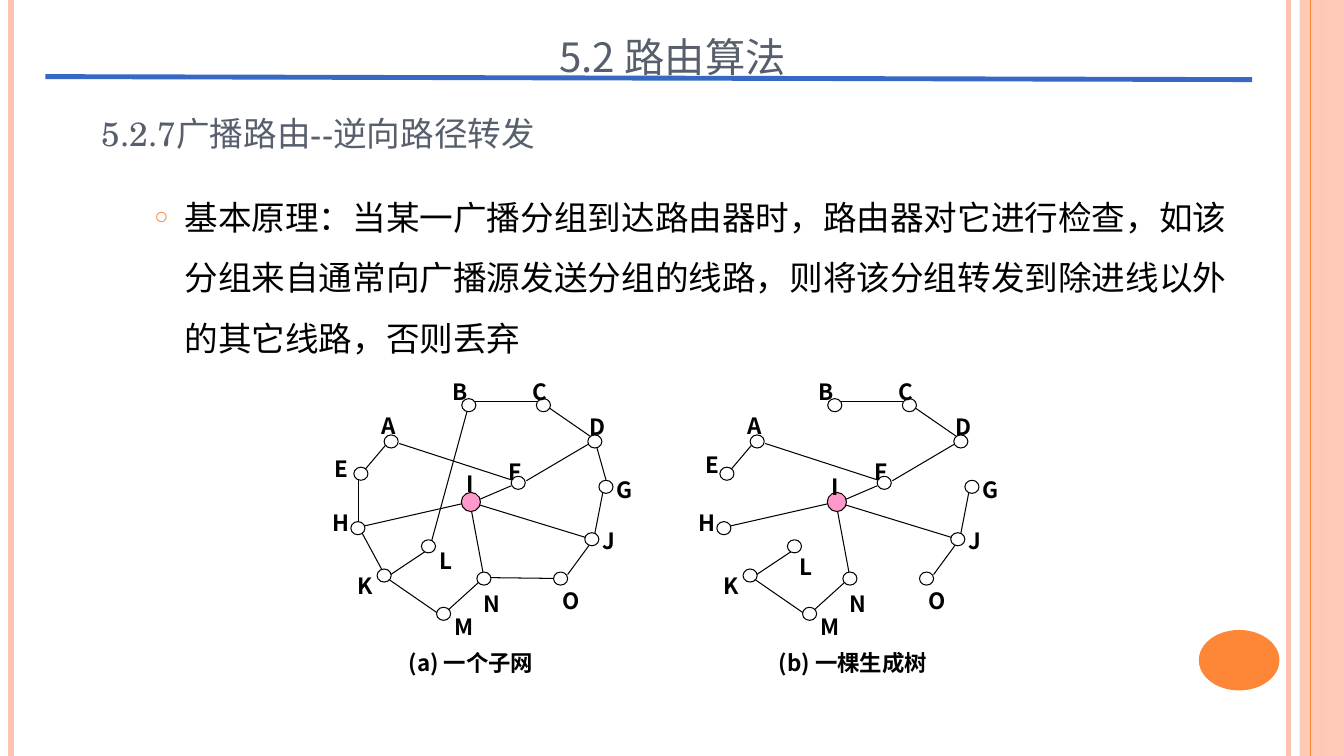
from lxml.etree import SubElement
from pptx import Presentation
from pptx.dml.color import RGBColor
from pptx.enum.shapes import MSO_CONNECTOR, MSO_SHAPE
from pptx.enum.text import MSO_ANCHOR, PP_ALIGN
from pptx.oxml.ns import qn
from pptx.util import Inches, Pt

COLORS = {"ink": "000000", "paper": "FFFFFF", "slate": "575F6D", "peach": "FEC3AE",
          "orange": "FE8637", "blue": "3668C4", "pink": "FF99CC"}
SANS, SERIF = "Noto Sans CJK SC", "TeX Gyre Schola"
WIDE, HIGH = 13.33, 7.5
NODES = {
    "A": (0.68, 0.81), "B": (1.45, 0.45), "C": (2.19, 0.45), "D": (2.7, 0.81),
    "E": (0.38, 1.13), "F": (1.94, 1.22), "G": (2.81, 1.26), "H": (0.35, 1.67),
    "I": (1.47, 1.41), "J": (2.67, 1.78), "K": (0.61, 2.14), "L": (1.05, 1.85),
    "M": (1.2, 2.52), "N": (1.6, 2.17), "O": (2.36, 2.17)}
LABELS = {
    "A": (0.49, 0.34), "B": (1.19, 0), "C": (1.98, 0), "D": (2.55, 0.35),
    "E": (0.02, 0.76), "F": (1.74, 0.79), "G": (2.82, 0.97), "H": (0, 1.3),
    "I": (1.24, 0.91), "J": (2.68, 1.48), "K": (0.25, 1.92), "L": (1.06, 1.68),
    "M": (1.21, 2.33), "N": (1.5, 2.1), "O": (2.28, 2.07)}
MOVED = {"E": (0.07, 0.72), "I": (1.23, 0.94), "L": (1, 1.74)}
EDGES = {
    "IF": (1.52, 1.4, 1.87, 1.25), "AE": (0.63, 0.84, 0.41, 1.1),
    "EH": (0.36, 1.16, 0.36, 1.66), "HK": (0.36, 1.66, 0.63, 2.16),
    "KM": (0.63, 2.16, 1.18, 2.54), "MN": (1.18, 2.54, 1.6, 2.16),
    "NO": (1.6, 2.16, 2.43, 2.17), "NI": (1.6, 2.16, 1.46, 1.41),
    "HI": (0.36, 1.66, 1.46, 1.41), "OJ": (2.43, 2.13, 2.65, 1.83),
    "IJ": (1.46, 1.41, 2.7, 1.79), "JG": (2.7, 1.72, 2.78, 1.31),
    "DC": (2.7, 0.79, 2.15, 0.41), "BC": (1.46, 0.41, 2.15, 0.41),
    "BL": (1.46, 0.41, 1.05, 1.91), "KL": (0.63, 2.16, 1.02, 1.9),
    "AF": (0.76, 0.83, 1.87, 1.19), "FD": (2.02, 1.2, 2.63, 0.84),
    "GD": (2.81, 1.19, 2.72, 0.87)}
TREE = set(EDGES) - {"EH", "HK", "NO", "BL", "GD"}


def tint(name):
    """Return a named colour."""
    return RGBColor.from_string(COLORS[name])


def line(slide, ends, color="ink", width=0.75):
    """Draw a straight line between two points."""
    link = slide.shapes.add_connector(MSO_CONNECTOR.STRAIGHT, *map(Inches, ends))
    link.line.color.rgb = tint(color)
    link.line.width = Pt(width)
    SubElement(link._element.spPr, qn("a:effectLst"))


def form(slide, kind, box, fill, edge=None):
    """Draw a filled shape, outlined when an edge colour is given."""
    shape = slide.shapes.add_shape(kind, *map(Inches, box))
    shape.shadow.inherit = False
    shape.fill.solid()
    shape.fill.fore_color.rgb = tint(fill)
    if edge:
        shape.line.color.rgb = tint(edge)
        shape.line.width = Pt(0.75)
    else:
        shape.line.fill.background()
    return shape


def place(shape, box):
    """Move a placeholder into a box."""
    shape.left, shape.top, shape.width, shape.height = map(Inches, box)


def write(shape, text, size, face, color="ink", bold=False, caps=False,
          align=PP_ALIGN.LEFT, space=1.5, anchor=MSO_ANCHOR.TOP):
    """Fill a shape with one formatted paragraph and return it."""
    frame = shape.text_frame
    frame.word_wrap = True
    frame.vertical_anchor = anchor
    para = frame.paragraphs[0]
    para.alignment, para.line_spacing, para.space_before = align, space, Pt(0)
    run = para.add_run()
    run.text = text
    run.font.size, run.font.name, run.font.bold = Pt(size), face, bold
    run.font.color.rgb = tint(color)
    props = run._r.get_or_add_rPr()
    SubElement(props, qn("a:ea"), typeface=face)
    if caps:
        props.set("cap", "small")
    return para


def frame(slide):
    """Draw the side bands and the page disc."""
    for x, color, width in ((12.78, "peach", 3), (0.11, "peach", 4.5)):
        line(slide, (x, 0, x, HIGH), color, width)
    band = form(slide, MSO_SHAPE.RECTANGLE, (12.89, 0, WIDE - 12.89, HIGH), "peach")
    shade = band._element.spPr.find(qn("a:solidFill"))[0]
    SubElement(shade, qn("a:alpha"), val="87000")
    for x, width in ((13.11, 0.5), (13, 0.75)):
        line(slide, (x, 0, x, HIGH), "peach" if x > 13 else "orange", width)
    form(slide, MSO_SHAPE.OVAL, (11.89, 6.25, 0.8, 0.6), "orange")


def heads(slide):
    """Set the chapter title, its rule and the section heading."""
    title = slide.shapes.title
    place(title, (2.22, 0.05, 8.9, 0.82))
    write(title, "5.2 路由算法", 36, SANS, "slate", caps=True,
          align=PP_ALIGN.CENTER, anchor=MSO_ANCHOR.BOTTOM)
    line(slide, (0.45, 0.76, 12.42, 0.79), "blue", 3.5)
    section = slide.shapes.add_textbox(*map(Inches, (0.91, 0.84, 6.38, 0.75)))
    write(section, "5.2.7广播路由--逆向路径转发", 30, SERIF, "slate", caps=True,
          space=1, anchor=MSO_ANCHOR.BOTTOM)


def theory(slide, box):
    """Set the bulleted principle in the body placeholder."""
    body = slide.placeholders[1]
    place(body, box)
    para = write(body, "基本原理：当某一广播分组到达路由器时，路由器对它进行检查，"
                 "如该分组来自通常向广播源发送分组的线路，则将该分组转发到除进线以外的其它线路，"
                 "否则丢弃", 24, SERIF)
    props = para._p.get_or_add_pPr()
    props.set("marL", str(Inches(0.3)))
    props.set("indent", str(Inches(-0.3)))
    SubElement(SubElement(props, qn("a:buClr")), qn("a:srgbClr"), val=COLORS["orange"])
    SubElement(props, qn("a:buSzPct"), val="70000")
    SubElement(props, qn("a:buChar"), char="○")


def graph(slide, left, top, edges, labels, note):
    """Draw one network with its labels and caption."""
    for name in edges:
        x1, y1, x2, y2 = EDGES[name]
        line(slide, (left + x1, top + y1, left + x2, top + y2))
    for name, (x, y) in NODES.items():
        wide, high, fill = (0.19, 0.19, "pink") if name == "I" else (0.14, 0.13, "paper")
        form(slide, MSO_SHAPE.OVAL,
             (left + x - wide / 2, top + y - high / 2, wide, high), fill, "ink")
    for name, (x, y) in labels.items():
        tag = slide.shapes.add_textbox(*map(Inches, (left + x, top + y, 0.45, 0.41)))
        align = PP_ALIGN.CENTER if name == "I" else PP_ALIGN.JUSTIFY
        write(tag, name, 16, SANS, bold=True, align=align)
    text, x, wide = note
    tag = slide.shapes.add_textbox(*map(Inches, (left + x, top + 2.69, wide, 0.44)))
    write(tag, text, 16, SANS, bold=True, align=PP_ALIGN.CENTER)


def main():
    """Build and save the slide."""
    deck = Presentation()
    deck.slide_width, deck.slide_height = Inches(WIDE), Inches(HIGH)
    slide = deck.slides.add_slide(deck.slide_layouts[1])
    frame(slide)
    theory(slide, (1.43, 1.7, 10.95, 2.21))
    graph(slide, 3.2, 3.57, EDGES, LABELS, ("(a) 一个子网", 0.66, 1.62))
    graph(slide, 6.83, 3.57, [name for name in EDGES if name in TREE],
          LABELS | MOVED, ("(b) 一棵生成树", 0.63, 2))
    heads(slide)
    deck.save("out.pptx")


if __name__ == "__main__":
    main()
